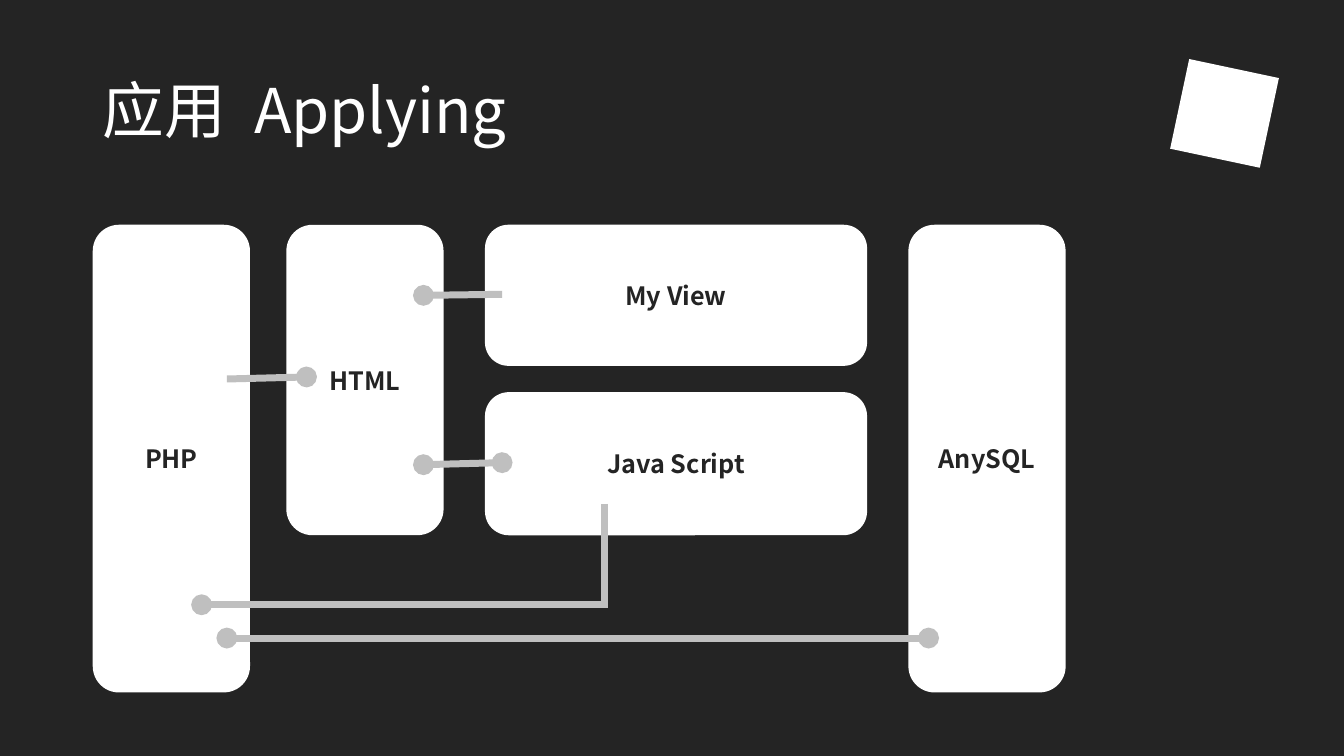
"""Build a slide showing how the parts of a web application connect."""
from lxml import etree
from pptx import Presentation
from pptx import util as u
from pptx.dml.color import RGBColor
from pptx.enum import shapes, text
from pptx.oxml.ns import qn

COLORS = {"dark": "242424", "white": "FFFFFF", "link": "BFBFBF"}
FONT = "Noto Sans CJK SC"


def format_run(run, color, **values):
    for name, value in {"name": FONT, **values}.items():
        setattr(run.font, name, value)
    run.font.color.rgb = RGBColor.from_string(COLORS[color])
    etree.SubElement(run.font._element, qn("a:ea"), typeface=FONT)


def format_link(shape, ends):
    shape.line.color.rgb = RGBColor.from_string(COLORS["link"])
    shape.line.width = u.Pt(5)
    line = shape.line._get_or_add_ln()
    etree.SubElement(line, qn("a:miter"), lim="800000")
    for end in ends:
        etree.SubElement(line, qn(f"a:{end}End"), type="oval")


presentation = Presentation()
presentation.slide_width = u.Inches(13.33)
presentation.slide_height = u.Inches(7.5)
slide = presentation.slides.add_slide(presentation.slide_layouts[5])
background = slide.background.fill
background.solid()
background.fore_color.rgb = RGBColor.from_string(COLORS["dark"])

title = slide.shapes.title
title_box = {"left": 0.92, "top": 0.4, "width": 11.5, "height": 1.45}
for name, value in title_box.items():
    setattr(title, name, u.Inches(value))
title.text_frame.vertical_anchor = text.MSO_ANCHOR.MIDDLE
paragraph = title.text_frame.paragraphs[0]
paragraph.alignment = text.PP_ALIGN.LEFT
paragraph.line_spacing = 0.9
for words, spacing in (("应用", 0), (" ", 1000), ("Applying", 0)):
    run = paragraph.add_run()
    run.text = words
    format_run(run, "white", size=u.Pt(44))
    run.font._element.set("spc", str(spacing))

ROUNDED = shapes.MSO_SHAPE.ROUNDED_RECTANGLE
TOP, NARROW, WIDE, TALL, MIDDLE = 2.23, 1.56, 3.79, 4.64, 3.08
blocks = [
    ("", 11.69, 0.67, 0.91, 0.91),
    ("PHP", 0.92, TOP, NARROW, TALL),
    ("HTML", 2.84, TOP, NARROW, MIDDLE),
    ("My View", 4.81, TOP, WIDE, 1.4),
    ("Java Script", 4.81, 3.89, WIDE, 1.42),
    ("AnySQL", 9.01, TOP, NARROW, TALL),
]
for label, *box in blocks:
    kind = ROUNDED if label else shapes.MSO_SHAPE.RECTANGLE
    block = slide.shapes.add_shape(kind, *map(u.Inches, box))
    block.shadow.inherit = False
    block.fill.solid()
    block.fill.fore_color.rgb = RGBColor.from_string(COLORS["white"])
    block.line.fill.background()
    if not label:
        block.rotation = 12
        continue
    block.text_frame.vertical_anchor = text.MSO_ANCHOR.MIDDLE
    paragraph = block.text_frame.paragraphs[0]
    paragraph.alignment = text.PP_ALIGN.CENTER
    run = paragraph.add_run()
    run.text = label
    format_run(run, "dark", size=u.Pt(18), bold=True)

links = [
    ((4.2, 2.93, 4.98, 2.92), ["head"]),
    ((4.2, 4.61, 4.98, 4.59), ["head", "tail"]),
    ((2.25, 3.76, 3.04, 3.74), ["tail"]),
    ((2.25, 6.33, 9.21, 6.33), ["head", "tail"]),
]
for points, ends in links:
    link = slide.shapes.add_connector(
        shapes.MSO_CONNECTOR.STRAIGHT, *map(u.Inches, points))
    format_link(link, ends)
    etree.SubElement(link._element.spPr, qn("a:effectLst"))

builder = slide.shapes.build_freeform(5.55, 5.11, scale=u.Inches(1))
builder.add_line_segments([(5.55, 5.86), (2.25, 5.86)], close=False)
script_to_php = builder.convert_to_shape()
script_to_php.shadow.inherit = False
script_to_php.fill.background()
format_link(script_to_php, ["tail"])

presentation.save("out.pptx")
